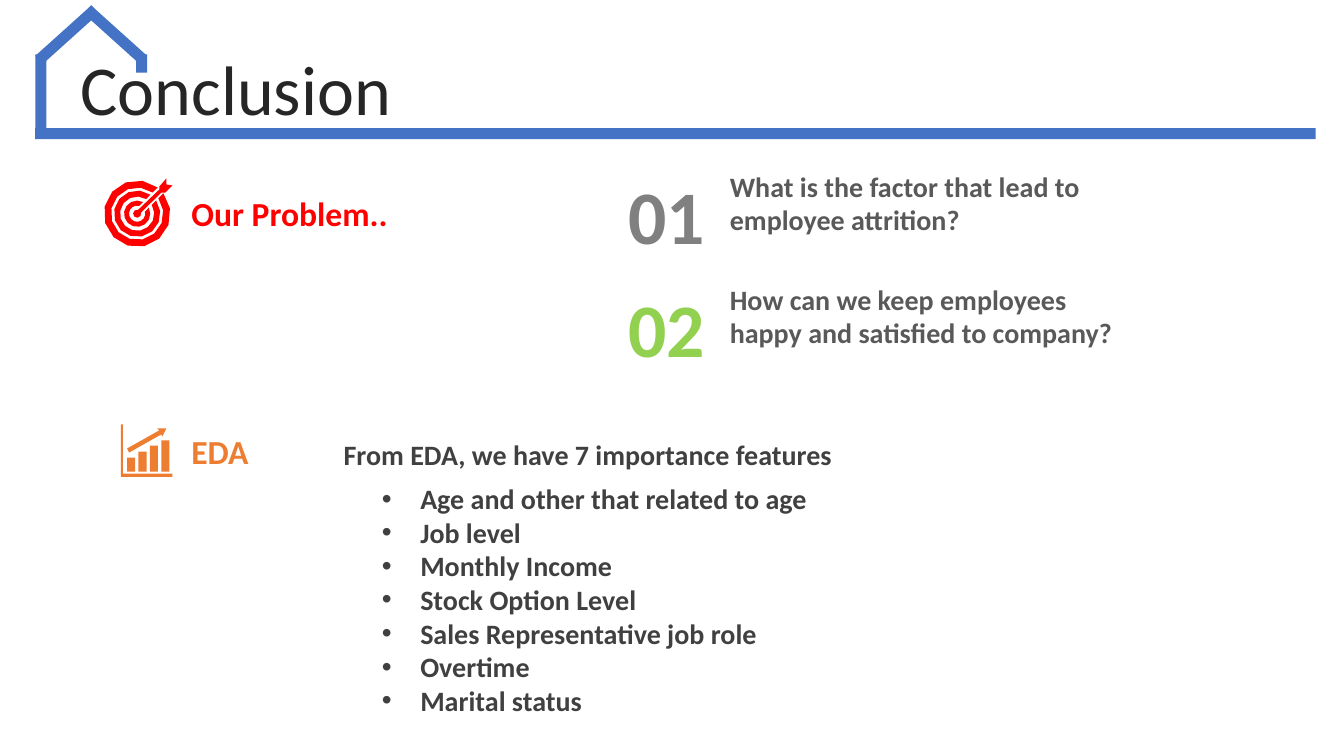
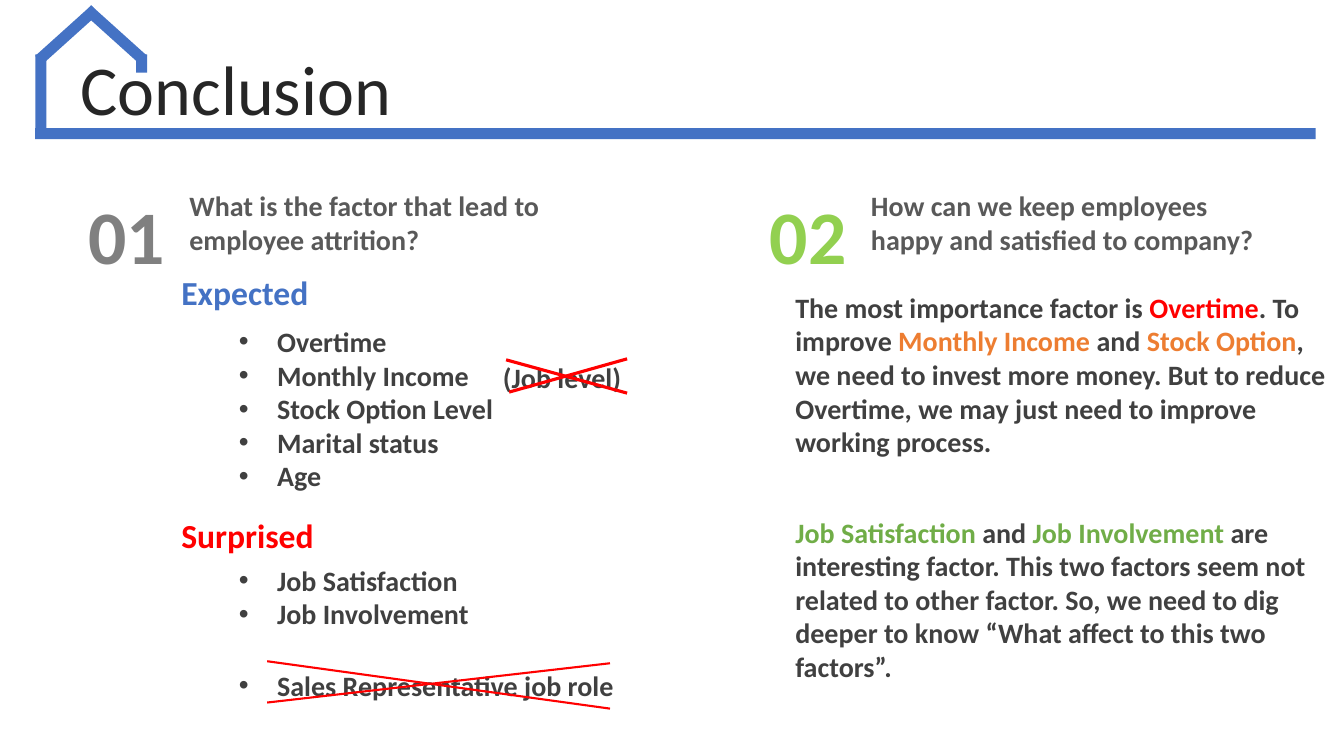
"""Build two conclusion slides on employee attrition."""
import math

from lxml import etree
from pptx import Presentation
from pptx.dml.color import RGBColor
from pptx.enum.shapes import MSO_CONNECTOR, MSO_SHAPE
from pptx.enum.text import MSO_ANCHOR, MSO_AUTO_SIZE, PP_ALIGN
from pptx.oxml.ns import qn
from pptx.util import Inches, Pt

RECTANGLE, STRAIGHT = MSO_SHAPE.RECTANGLE, MSO_CONNECTOR.STRAIGHT
LEFT, CENTER = PP_ALIGN.LEFT, PP_ALIGN.CENTER
MIDDLE = MSO_ANCHOR.MIDDLE
NO_FIT, GROW = MSO_AUTO_SIZE.NONE, MSO_AUTO_SIZE.SHAPE_TO_FIT_TEXT

FONT = "Calibri"
BLUE, RED, ORANGE, GREEN = "4472C4", "FF0000", "ED7D31", "70AD47"
INK, BODY, MUTED, GREY, LIME = "262626", "404040", "595959", "808080", "92D050"

TITLE = "Conclusion"
HOUSE = [
    (0.35, 1.27, 12.7, 0.11, 0),
    (0.35, 0.54, 0.11, 0.8, 0),
    (1.35, 0.54, 0.11, 0.18, 0),
    (0.61, -0.03, 0.11, 0.75, 48),
    (1.09, -0.03, 0.11, 0.75, -48),
]
QUESTIONS = [
    ("01", GREY, "What is the factor that lead to employee attrition?"),
    ("02", LIME, "How can we keep employees happy and satisfied to company?"),
]
PROBLEM_PLACES = [(6.06, 1.63), (6.06, 2.75)]
ANSWER_PLACES = [(0.7, 1.82), (7.46, 1.82)]

PROBLEM_HEADINGS = [
    ("Our Problem..", RED, (1.8, 1.86, 2.16, 0.5)),
    ("EDA", ORANGE, (1.8, 4.23, 0.77, 0.5)),
]
ANSWER_HEADINGS = [
    ("Expected", BLUE, (1.7, 2.65, 1.48, 0.5)),
    ("Surprised", RED, (1.7, 5.06, 1.52, 0.5)),
]
EDA_INTRO = "From EDA, we have 7 importance features"
FEATURES = [
    "Age and other that related to age", "Job level", "Monthly Income",
    "Stock Option Level", "Sales Representative job role", "Overtime",
    "Marital status",
]
ANSWER_LISTS = [
    ((2.27, 3.17, 2.74, 1.78),
     ["Overtime", "Monthly Income", "Stock Option Level", "Marital status", "Age"]),
    ((2.27, 5.54, 2.5, 0.77), ["Job Satisfaction", "Job Involvement"]),
    ((2.27, 6.58, 3.95, 0.44), ["Sales Representative job role"]),
]
ADVICE = [
    (2.83, [
        ("The most importance factor is ", BODY), ("Overtime", RED),
        (". To improve ", BODY), ("Monthly Income ", ORANGE), ("and ", BODY),
        ("Stock Option", ORANGE),
        (", we need to invest more money. But to reduce Overtime, "
         "we may just need to improve working process.", BODY)]),
    (5.06, [
        ("Job Satisfaction ", GREEN), ("and", BODY), (" Job Involvement ", GREEN),
        ("are interesting factor. This two factors seem not related to other "
         "factor. So, we need to dig deeper to know “What affect to this two "
         "factors”.", BODY)]),
]
STRIKES = [
    ((2.65, 6.56), (6.05, 7.03), 1.5),
    ((2.65, 6.97), (6.05, 6.58), 1.5),
    ((5.05, 3.89), (6.22, 3.56), 2.25),
    ((5.02, 3.57), (6.22, 3.9), 2.25),
]

TARGET_CENTER = (1.36, 2.12)
TARGET_RINGS = [(0.33, 0.26), (0.23, 0.17), (0.13, 0.08)]
RING_HALF_GAP = 0.04
DART = [(1.6, 1.91), (1.64, 1.91), (1.71, 1.84), (1.65, 1.83), (1.65, 1.77),
        (1.58, 1.85), (1.58, 1.88)]
BAR_TOPS = [4.54, 4.48, 4.42, 4.37]
TREND_ARROW = [(1.56, 4.25), (1.65, 4.25), (1.61, 4.33), (1.6, 4.31),
               (1.28, 4.49), (1.26, 4.45), (1.58, 4.27)]
AXES = [(1.2, 4.21), (1.22, 4.21), (1.22, 4.7), (1.71, 4.7), (1.71, 4.73),
        (1.2, 4.73)]


def color(value):
    """Turn a hex string into a colour."""
    return RGBColor.from_string(value)


def paint(shape, fill):
    """Give a shape a plain fill without line or shadow."""
    shape.shadow.inherit = False
    shape.fill.solid()
    shape.fill.fore_color.rgb = color(fill)
    shape.line.fill.background()


def add_spans(para, spans, size, bold):
    """Write (text, colour) spans into a paragraph."""
    for text, tint in spans:
        span = para.add_run()
        span.text = text
        span.font.name = FONT
        span.font.size = Pt(size)
        span.font.bold = bold
        span.font.color.rgb = color(tint)


def add_bullet(para):
    """Give a paragraph a hanging round bullet."""
    props = para._p.get_or_add_pPr()
    props.set("marL", str(Inches(0.38)))
    props.set("indent", str(-Inches(0.38)))
    etree.SubElement(props, qn("a:buFont")).set("typeface", "Arial")
    etree.SubElement(props, qn("a:buChar")).set("char", "•")


def add_text(page, place, content, size=20, tint=BODY, align=LEFT, wrap=False,
             bullets=False):
    """Add a bold text box; content is a string, or a list of paragraphs."""
    box = page.shapes.add_textbox(*map(Inches, place))
    frame = box.text_frame
    frame.word_wrap = wrap
    frame.auto_size = GROW
    for index, item in enumerate([content] if isinstance(content, str) else content):
        para = frame.add_paragraph() if index else frame.paragraphs[0]
        para.alignment = align
        if bullets:
            add_bullet(para)
        spans = [(item, tint)] if isinstance(item, str) else item
        add_spans(para, spans, size, True)


def add_icon(page, contours, fill):
    """Draw closed contours as one filled outline."""
    contours = [[(Inches(x), Inches(y)) for x, y in points] for points in contours]
    builder = page.shapes.build_freeform(*contours[0][0])
    for index, points in enumerate(contours):
        if index:
            builder.move_to(*points[0])
        builder.add_line_segments(points[1:], close=True)
    paint(builder.convert_to_shape(), fill)


def open_arc(radius, half_gap, steps):
    """Return points round the target, open towards the upper right."""
    gap = math.asin(half_gap / radius)
    start, sweep = math.pi / 4 + gap, 2 * (math.pi - gap)
    angles = [start + sweep * step / steps for step in range(steps + 1)]
    x, y = TARGET_CENTER
    return [(x + radius * math.cos(a), y - radius * math.sin(a)) for a in angles]


def add_target(page):
    """Draw the target with its dart."""
    rings = [open_arc(outer, RING_HALF_GAP, 12)
             + open_arc(inner, RING_HALF_GAP, 12)[::-1]
             for outer, inner in TARGET_RINGS]
    add_icon(page, rings + [open_arc(0.04, 0.02, 6) + DART], RED)


def add_growth_chart(page):
    """Draw the rising bars icon."""
    bars = []
    for index, top in enumerate(BAR_TOPS):
        left = 1.26 + 0.34 * index / 3
        right = left + 0.08
        bars.append([(left, top), (right, top), (right, 4.68), (left, 4.68)])
    add_icon(page, bars + [TREND_ARROW, AXES], ORANGE)


def add_strike(page, start, end, width):
    """Draw a red line across dropped text."""
    line = page.shapes.add_connector(STRAIGHT, *map(Inches, start + end))
    line.line.color.rgb = color(RED)
    line.line.width = Pt(width)
    etree.SubElement(line.element.spPr, qn("a:effectLst"))


def add_questions(page, places):
    """Place each numbered question."""
    for (number, tint, question), (left, top) in zip(QUESTIONS, places):
        add_text(page, (left, top, 1.11, 1.01), number, size=54, tint=tint,
                 align=CENTER, wrap=True)
        add_text(page, (left + 1.08, top, 4.09, 0.77), question, tint=MUTED,
                 wrap=True)


def add_headings(page, headings):
    """Place the coloured section headings."""
    for text, tint, place in headings:
        add_text(page, place, text, size=24, tint=tint)


def add_page(deck, layout):
    """Add a slide with its formatted title."""
    page = deck.slides.add_slide(layout)
    title = page.shapes.title
    title.left, title.top, title.width, title.height = map(
        Inches, (0.7, 0.55, 12.31, 0.79))
    frame = title.text_frame
    frame.auto_size = NO_FIT
    frame.word_wrap = True
    frame.vertical_anchor = MIDDLE
    para = frame.paragraphs[0]
    para.alignment = LEFT
    para.line_spacing = 0.8
    para.space_before = Pt(10)
    add_spans(para, [(TITLE, INK)], 50, False)
    return page


def add_house(page, layout):
    """Draw the house outline and move it to the shared layout."""
    for item in list(layout.placeholders)[1:]:
        layout.shapes.element.remove(item.element)
    for *place, angle in HOUSE:
        beam = page.shapes.add_shape(RECTANGLE, *map(Inches, place))
        beam.rotation = angle
        paint(beam, BLUE)
        layout.shapes.element.append(beam.element)


def fill_problem(page):
    """Fill the slide with the problem and the explored features."""
    add_headings(page, PROBLEM_HEADINGS)
    add_questions(page, PROBLEM_PLACES)
    add_target(page)
    add_growth_chart(page)
    add_text(page, (3.31, 4.29, 5.27, 0.44), EDA_INTRO)
    add_text(page, (3.69, 4.73, 4.44, 2.46), FEATURES, bullets=True)


def fill_answers(page):
    """Fill the slide with the answers to both questions."""
    add_questions(page, ANSWER_PLACES)
    add_headings(page, ANSWER_HEADINGS)
    for place, items in ANSWER_LISTS:
        add_text(page, place, items, bullets=True)
    add_text(page, (4.89, 3.53, 1.38, 0.44), "(Job level)")
    for start, end, width in STRIKES:
        add_strike(page, start, end, width)
    for top, spans in ADVICE:
        add_text(page, (7.79, top, 5.54, 1.78), [spans], wrap=True)


def main():
    """Build and save the deck."""
    deck = Presentation()
    deck.slide_width, deck.slide_height = Inches(13.33), Inches(7.5)
    layout = deck.slide_layouts[5]
    problem, answers = add_page(deck, layout), add_page(deck, layout)
    add_house(problem, layout)
    fill_problem(problem)
    fill_answers(answers)
    deck.save("out.pptx")


if __name__ == "__main__":
    main()
